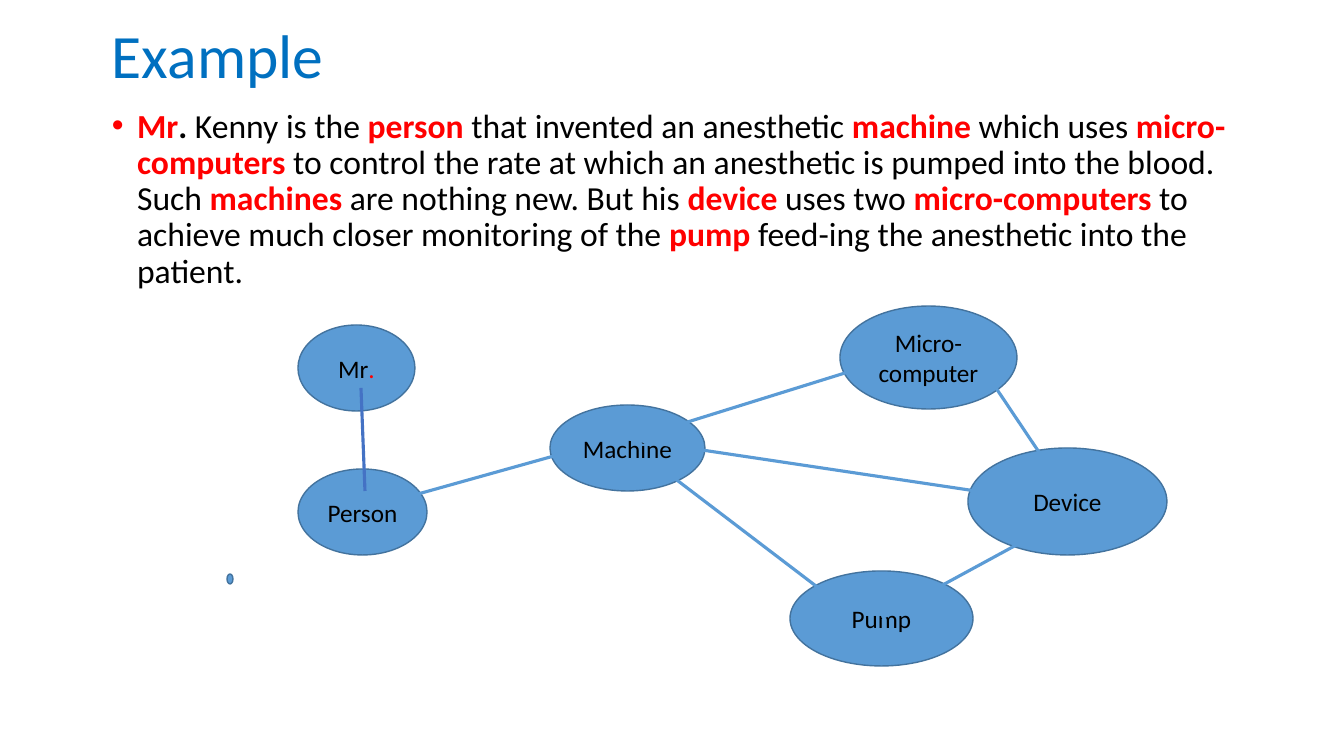
from dataclasses import dataclass

from lxml.etree import SubElement
from pptx import Presentation
from pptx.dml.color import RGBColor
from pptx.enum.shapes import MSO_CONNECTOR, MSO_SHAPE
from pptx.enum.text import MSO_ANCHOR, PP_ALIGN
from pptx.oxml.ns import qn
from pptx.util import Emu, Pt

EMU_PER_PIXEL = 914400 / 100.8


@dataclass(frozen=True)
class Theme:
    """Colours, font and type sizes of the slide."""
    font: str = "Calibri"
    heading: str = "0070C0"
    ink: str = "000000"
    keyword: str = "FF0000"
    node: str = "5B9BD5"
    node_edge: str = "43739E"
    title_link: str = "4472C4"
    heading_size: int = 44
    passage_size: int = 24
    node_size: int = 18
    edge_width: float = 1
    link_width: float = 2.25


THEME = Theme()

# Words between asterisks are the keywords of the passage.
PASSAGE = (
    " Kenny is the *person *that invented an anesthetic *machine *which uses "
    "*micro-computers *to control the rate at which an anesthetic is pumped "
    "into the blood. Such *machines *are nothing new. But his *device *uses "
    "two *micro-computers *to achieve much closer monitoring of the *pump *"
    "feed-ing the anesthetic into the patient."
)

# Label, left, top, width, height
NODES = [
    ("Mr", 298, 325, 117, 86),
    ("Person", 298, 469, 129, 86),
    ("", 227, 574, 6, 10),
    ("Machine", 550, 405, 155, 86),
    ("Micro-computer", 840, 306, 177, 103),
    ("Device", 968, 448, 199, 107),
    ("Pump", 790, 571, 183, 95),
]

# Start x, start y, end x, end y
LINKS = [
    (393, 501, 561, 454),
    (990, 379, 1055, 476),
    (1066, 518, 882, 618),
    (861, 368, 649, 434),
    (996, 494, 595, 434),
    (833, 599, 665, 471),
]


def px(*lengths):
    """Turn pixel lengths into EMU."""
    return [Emu(round(length * EMU_PER_PIXEL)) for length in lengths]


def add_run(paragraph, text, *, size, color=THEME.ink, bold=False):
    """Append one formatted run to a paragraph."""
    run = paragraph.add_run()
    run.text = text
    run.font.name = THEME.font
    run.font.size = Pt(size)
    run.font.bold = bold
    run.font.color.rgb = RGBColor.from_string(color)


def add_text_area(slide, *bounds, anchor=MSO_ANCHOR.TOP):
    """Add a wrapping text box and return its first paragraph."""
    frame = slide.shapes.add_textbox(*px(*bounds)).text_frame
    frame.word_wrap = True
    frame.vertical_anchor = anchor
    paragraph = frame.paragraphs[0]
    paragraph.line_spacing = 0.9
    return paragraph


def add_bullet(paragraph, color):
    """Give a paragraph a hanging round bullet."""
    properties = paragraph._p.get_or_add_pPr()
    indent = Pt(18)
    properties.set("marL", str(indent))
    properties.set("indent", str(-indent))
    bullet_color = SubElement(properties, qn("a:buClr"))
    SubElement(bullet_color, qn("a:srgbClr"), val=color)
    SubElement(properties, qn("a:buFont"), typeface="Arial")
    SubElement(properties, qn("a:buChar"), char="•")


def add_passage(slide):
    """Add the bulleted passage with its keywords highlighted."""
    passage = add_text_area(slide, 102, 104, 1159, 480)
    passage.space_before = Pt(10)
    add_bullet(passage, THEME.keyword)
    size = THEME.passage_size
    add_run(passage, "Mr", size=size, color=THEME.keyword, bold=True)
    add_run(passage, ".", size=size, bold=True)
    for index, words in enumerate(PASSAGE.split("*")):
        is_keyword = index % 2 == 1
        add_run(passage, words, size=size, bold=is_keyword,
                color=THEME.keyword if is_keyword else THEME.ink)


def add_node(slide, label, *bounds):
    """Add an ellipse of the graph with its centred label."""
    node = slide.shapes.add_shape(MSO_SHAPE.OVAL, *px(*bounds))
    node.shadow.inherit = False
    node.fill.solid()
    node.fill.fore_color.rgb = RGBColor.from_string(THEME.node)
    node.line.color.rgb = RGBColor.from_string(THEME.node_edge)
    node.line.width = Pt(THEME.edge_width)
    if not label:
        return
    frame = node.text_frame
    frame.word_wrap = True
    frame.margin_left = frame.margin_right = 0
    frame.vertical_anchor = MSO_ANCHOR.MIDDLE
    caption = frame.paragraphs[0]
    caption.alignment = PP_ALIGN.CENTER
    add_run(caption, label, size=THEME.node_size)
    if label == "Mr":
        add_run(caption, ".", size=THEME.node_size, color=THEME.keyword)


def add_link(slide, *ends, color=THEME.node):
    """Add a straight line between two nodes."""
    link = slide.shapes.add_connector(MSO_CONNECTOR.STRAIGHT, *px(*ends))
    link.line.color.rgb = RGBColor.from_string(color)
    link.line.width = Pt(THEME.link_width)
    SubElement(link._element.spPr, qn("a:effectLst"))


def main():
    """Build the slide and save it."""
    deck = Presentation()
    deck.slide_width, deck.slide_height = px(1344, 756)
    slide = deck.slides.add_slide(deck.slide_layouts[6])

    heading = add_text_area(slide, 102, -14, 1159, 146,
                            anchor=MSO_ANCHOR.MIDDLE)
    add_run(heading, "Example", size=THEME.heading_size, color=THEME.heading)
    add_passage(slide)
    for node in NODES:
        add_node(slide, *node)
    add_link(slide, 361, 388, 365, 491, color=THEME.title_link)
    for link in LINKS:
        add_link(slide, *link)

    deck.save("out.pptx")


main()
